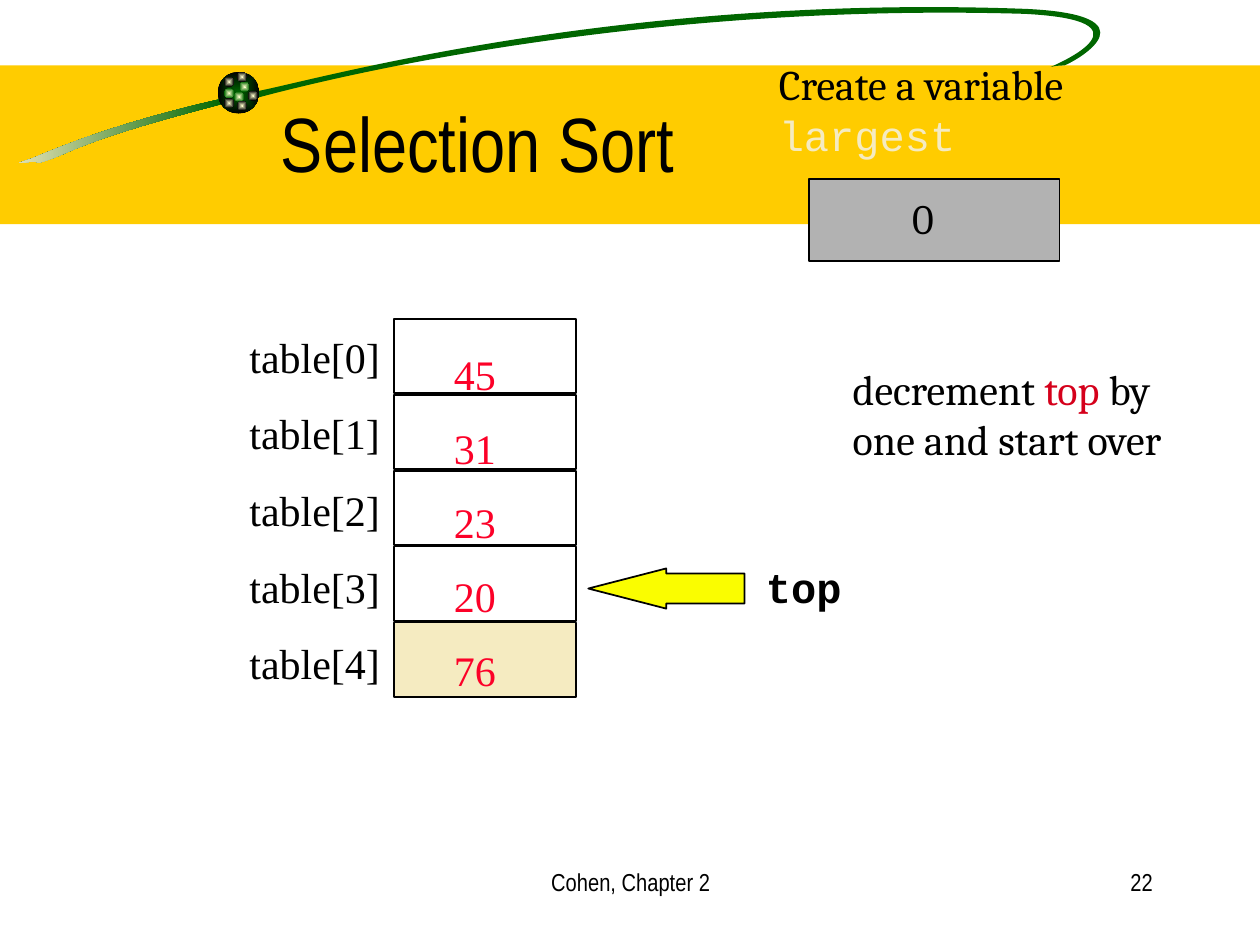
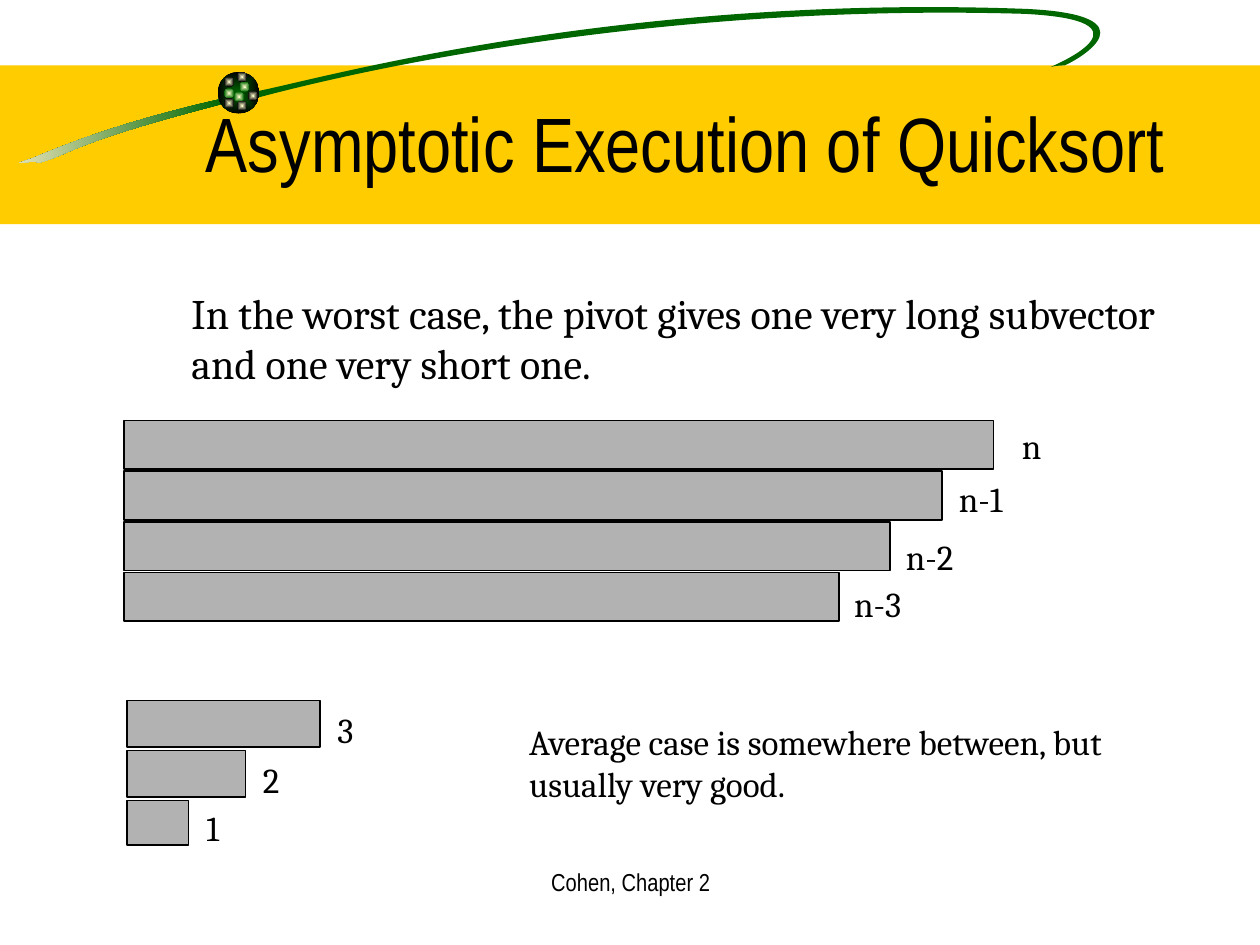
"""Build two slides on sorting: selection sort and quicksort."""
import dataclasses
import itertools
import typing

import lxml.etree
import pptx
import pptx.dml.color
import pptx.enum.shapes
import pptx.enum.text
import pptx.oxml.ns
import pptx.util

Cm = pptx.util.Cm
qn = pptx.oxml.ns.qn
Kind = pptx.enum.shapes.MSO_SHAPE
Align = pptx.enum.text.PP_ALIGN
Frame = tuple[float, float, float, float]
Point = tuple[float, float]


@dataclasses.dataclass(frozen=True)
class Theme:
    """Hold the colours, fonts and type sizes."""
    black: str = "000000"
    white: str = "FFFFFF"
    gold: str = "FFCC00"
    green: str = "006600"
    cream: str = "F5EBC1"
    glow: str = "FFFFCC"
    gray: str = "B2B2B2"
    yellow: str = "FAFD00"
    red: str = "FC0128"
    crimson: str = "D5001B"
    head: str = "Arial Narrow"
    body: str = "Cambria"
    code: str = "Courier New"
    serif: str = "Times New Roman"
    title: float = 44
    large: float = 24
    small: float = 20
    foot: float = 14


THEME = Theme()


@dataclasses.dataclass(frozen=True)
class Run:
    """Hold one stretch of text and its look."""
    text: str
    face: str = THEME.body
    size: float = THEME.large
    color: str = THEME.black
    bold: bool = False


@dataclasses.dataclass(frozen=True)
class Note:
    """Hold a text box with its paragraphs."""
    frame: Frame
    lines: list[list[Run]]
    wrap: bool = True
    align: typing.Any = Align.LEFT
    gap: float = 0


@dataclasses.dataclass(frozen=True)
class Dot:
    """Hold one light on the orb."""
    left: float
    top: float
    edge: str


@dataclasses.dataclass(frozen=True)
class Bar:
    """Hold a vector bar and the place of its label."""
    frame: Frame
    label: str
    spot: Frame


DOTS = [
    Dot(4.83, 1.65, THEME.green), Dot(4.52, 1.55, THEME.black),
    Dot(4.52, 1.78, THEME.green), Dot(4.72, 1.85, THEME.green),
    Dot(5.0, 1.83, THEME.black), Dot(4.78, 2.03, THEME.black),
    Dot(4.52, 1.98, THEME.black), Dot(4.78, 1.45, THEME.black),
]
TAIL = [
    (4.52, 1.98),
    (2.31, 2.49), (1.24, 2.95), (0.64, 3.2),
    (0.03, 3.4), (0.66, 3.2), (0.79, 3.28),
    (1.45, 3.1), (1.45, 2.87), (4.55, 2.08),
    (4.55, 2.08), (4.52, 1.98), (4.52, 1.98),
]
LOOP = [
    (5.13, 1.85),
    (6.25, 1.65), (12.34, -0.13), (20.68, 0.18),
    (23.29, 0.3), (21.77, 1.19), (21.46, 1.32),
    (21.46, 1.32), (21.29, 1.32), (21.18, 1.35),
    (21.44, 1.24), (23.27, 0.41), (20.65, 0.28),
    (13.92, 0.08), (8.13, 1.19), (5.23, 1.96),
    (5.23, 1.96), (5.13, 1.85), (5.13, 1.85),
]


def rgb(code: str) -> pptx.dml.color.RGBColor:
    """Turn a hex code into a colour."""
    return pptx.dml.color.RGBColor.from_string(code)


def apply(target: typing.Any, values: dict[str, typing.Any]) -> None:
    """Set each named value on the target."""
    for name, value in values.items():
        setattr(target, name, value)


def paint(shape: typing.Any, fill: str, line: str | None = None) -> None:
    """Give a shape a flat fill and an optional line."""
    shape.shadow.inherit = False
    shape.fill.solid()
    shape.fill.fore_color.rgb = rgb(fill)
    if line is None:
        shape.line.fill.background()
    else:
        shape.line.color.rgb = rgb(line)
        shape.line.width = pptx.util.Pt(1)


def blend(shape: typing.Any, first: str, last: str, core: bool) -> None:
    """Shade a shape from its core, or from right to left."""
    shape.fill.gradient()
    for stop, color, place in zip(shape.fill.gradient_stops, (first, last), (0, 1)):
        stop.position = place
        stop.color.rgb = rgb(color)
    if not core:
        shape.fill.gradient_angle = 180
        return
    grad = shape.element.spPr.find(qn("a:gradFill"))
    grad.remove(grad.find(qn("a:lin")))
    heart = lxml.etree.SubElement(grad, qn("a:path"), {"path": "rect"})
    lxml.etree.SubElement(heart, qn("a:fillToRect"), dict.fromkeys("ltrb", "50000"))


def block(slide: typing.Any, kind: typing.Any, frame: Frame, fill: str,
          line: str | None = THEME.black) -> typing.Any:
    """Draw a preset shape."""
    shape = slide.shapes.add_shape(kind, *map(Cm, frame))
    paint(shape, fill, line)
    return shape


def sweep(slide: typing.Any, knots: list[Point], fill: str) -> typing.Any:
    """Draw a closed outline of cubic curves, three knots to a curve."""
    spots = [(Cm(x), Cm(y)) for x, y in knots]
    form = slide.shapes.build_freeform(*spots[0], scale=1.0)
    form.add_line_segments(spots[1:], close=True)
    shape = form.convert_to_shape()
    lines = list(shape.element.iter(qn("a:lnTo")))
    for first in range(0, len(spots) - 1, 3):
        curve = lxml.etree.Element(qn("a:cubicBezTo"))
        lines[first].addprevious(curve)
        for line in lines[first:first + 3]:
            curve.append(line[0])
    for line in lines:
        line.getparent().remove(line)
    paint(shape, fill)
    return shape


def dress(slide: typing.Any, layout: typing.Any) -> None:
    """Draw the band, swoosh, orb and veil, and move them to the layout."""
    band = block(slide, Kind.RECTANGLE, (0, 1.32, 25.4, 3.2), THEME.gold, None)
    tail = sweep(slide, TAIL, THEME.green)
    blend(tail, THEME.green, THEME.cream, False)
    loop = sweep(slide, LOOP, THEME.green)
    orb = block(slide, Kind.OVAL, (4.39, 1.45, 0.84, 0.84), THEME.green, None)
    blend(orb, THEME.green, THEME.black, True)
    lights = []
    for dot in DOTS:
        light = block(slide, Kind.OVAL, (dot.left, dot.top, 0.2, 0.2),
                      THEME.glow, None)
        blend(light, THEME.glow, dot.edge, True)
        lights.append(light)
    veil = block(slide, Kind.RECTANGLE, (1.88, 5.23, 3.1, 13.82), THEME.white, None)
    tint = next(veil.element.spPr.iter(qn("a:srgbClr")))
    lxml.etree.SubElement(tint, qn("a:alpha"), {"val": "50000"})
    for part in itertools.chain((band, tail, loop, orb), lights, (veil,)):
        layout.shapes.element.append(part.element)


def fill_text(frame: typing.Any, note: Note) -> None:
    """Write the paragraphs of a note into a text frame."""
    apply(frame, {
        "word_wrap": note.wrap, "auto_size": pptx.enum.text.MSO_AUTO_SIZE.NONE,
        "margin_left": Cm(0.25), "margin_right": Cm(0.25),
        "margin_top": Cm(0.13), "margin_bottom": Cm(0.13)})
    for row, line in enumerate(note.lines):
        para = frame.add_paragraph() if row else frame.paragraphs[0]
        apply(para, {"alignment": note.align,
                     "space_before": pptx.util.Pt(note.gap if row else 0)})
        for item in line:
            run = para.add_run()
            run.text = item.text
            apply(run.font, {"name": item.face, "bold": item.bold,
                             "size": pptx.util.Pt(item.size)})
            run.font.color.rgb = rgb(item.color)


def write(slide: typing.Any, *notes: Note) -> None:
    """Add each note as a text box."""
    for note in notes:
        box = slide.shapes.add_textbox(*map(Cm, note.frame))
        fill_text(box.text_frame, note)


def start(deck: typing.Any, layout: typing.Any, text: str, frame: Frame) -> typing.Any:
    """Add a slide with its title and footer."""
    slide = deck.slides.add_slide(layout)
    title = slide.shapes.title
    apply(title, dict(zip(("left", "top", "width", "height"), map(Cm, frame))))
    line = [Run(text, THEME.head, THEME.title)]
    fill_text(title.text_frame, Note(frame, [line], align=Align.CENTER))
    title.text_frame.vertical_anchor = pptx.enum.text.MSO_ANCHOR.MIDDLE
    foot = [Run("Cohen, Chapter 2", THEME.head, THEME.foot)]
    write(slide, Note((8.69, 17.35, 8.05, 1.27), [foot], align=Align.CENTER))
    return slide


def draw_table(slide: typing.Any) -> None:
    """Draw the selection sort state."""
    values = ("45", "31", "23", "20", "76")
    for row in range(len(values)):
        fill = THEME.cream if row == len(values) - 1 else THEME.white
        block(slide, Kind.RECTANGLE, (7.95, 6.43 + 1.53 * row, 3.66, 1.5), fill)
    block(slide, Kind.RECTANGLE, (16.31, 3.61, 5.05, 1.65), THEME.gray)
    arrow = block(slide, Kind.LEFT_ARROW, (11.86, 11.46, 3.15, 0.81), THEME.yellow)
    arrow.adjustments[0], arrow.adjustments[1] = 0.75, 1.94
    names = [[Run(f"table[{row}]", THEME.serif)] for row in range(len(values))]
    cells = [[Run(value, THEME.serif, color=THEME.red)] for value in values]
    write(
        slide,
        Note((4.78, 6.55, 3.23, 7.44), names, gap=15),
        Note((8.9, 6.89, 1.37, 7.24), cells, wrap=False, gap=13.5),
        Note((18.14, 3.76, 0.99, 1.27), [[Run("0")]], wrap=False),
        Note((16.94, 7.19, 7.42, 3.3),
             [[Run("decrement "), Run("top", color=THEME.crimson),
               Run(" by one and start over")]]),
        Note((15.19, 11.18, 2.03, 1.27),
             [[Run("top", THEME.code, bold=True)]], wrap=False),
        Note((15.45, 1.06, 8.89, 2.29),
             [[Run("Create a variable "),
               Run("largest", THEME.code, color=THEME.cream)]]),
        Note((18.21, 17.35, 5.28, 1.27),
             [[Run("22", THEME.head, THEME.foot)]], align=Align.RIGHT))


def draw_bars(slide: typing.Any) -> None:
    """Draw the worst case of quicksort."""
    longs = (("n", 20.35, 8.43, 0.97), ("n-1", 19.08, 9.5, 1.57),
             ("n-2", 18.01, 10.67, 1.57), ("n-3", 16.97, 11.61, 1.57))
    shorts = (("3", 6.55, 14.15, 3.89, 0.94), ("2", 5.05, 15.16, 2.39, 0.94),
              ("1", 3.91, 16.13, 1.24, 0.89))
    bars = [Bar((2.5, 8.48 + 1.02 * i, 17.53 - 1.04 * i, 0.98), label,
                (left, top, wide, 1.09))
            for i, (label, left, top, wide) in enumerate(longs)]
    bars += [Bar((2.56, 14.12 + 1.01 * i, wide, tall), label,
                 (left, top, 0.91, 1.09))
             for i, (label, left, top, wide, tall) in enumerate(shorts)]
    for bar in bars:
        block(slide, Kind.RECTANGLE, bar.frame, THEME.gray)
        write(slide, Note(bar.spot, [[Run(bar.label, size=THEME.small)]], wrap=False))
    worst = "In the worst case, the pivot gives one very long subvector and one very short one."
    mean = "Average case is somewhere between, but usually very good."
    write(slide,
          Note((3.61, 5.66, 20.32, 2.29), [[Run(worst)]]),
          Note((10.42, 14.4, 13.97, 1.96), [[Run(mean, size=THEME.small)]]))


def main() -> None:
    """Build and save the deck."""
    deck = pptx.Presentation()
    apply(deck, {"slide_width": Cm(25.4), "slide_height": Cm(19.05)})
    layout = deck.slide_layouts.get_by_name("Title Only")
    first = start(deck, layout, "Selection Sort", (4.45, 1.27, 10.36, 3.18))
    dress(first, layout)
    draw_table(first)
    second = start(deck, layout, "Asymptotic Execution of Quicksort ",
                   (3.2, 1.27, 21.59, 3.18))
    draw_bars(second)
    deck.save("out.pptx")


if __name__ == "__main__":
    main()
